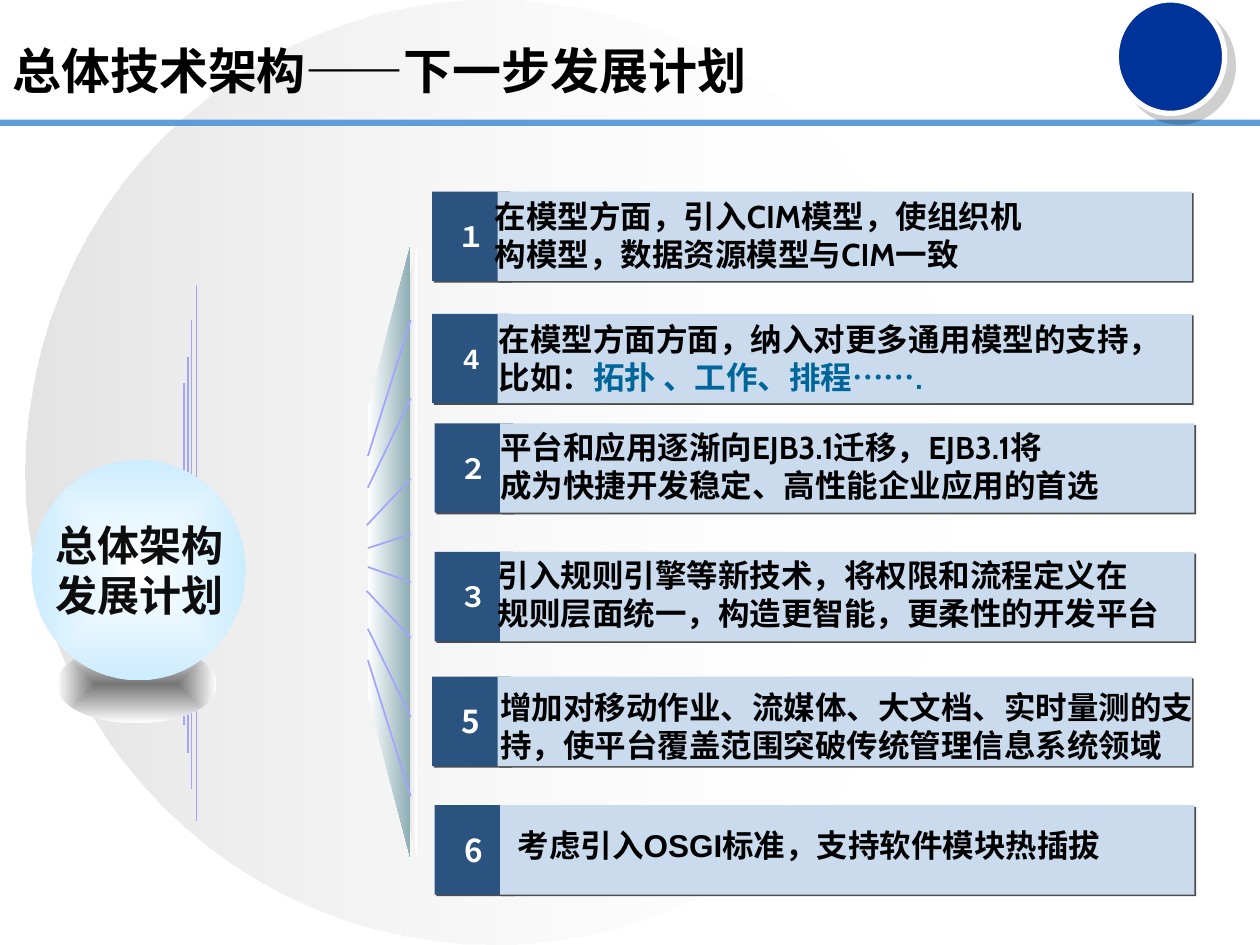
from dataclasses import dataclass

from lxml.etree import SubElement
from pptx import Presentation
from pptx.dml.color import RGBColor
from pptx.enum.shapes import MSO_CONNECTOR, MSO_SHAPE
from pptx.enum.text import MSO_ANCHOR, PP_ALIGN
from pptx.oxml.ns import qn
from pptx.util import Inches, Pt


@dataclass(frozen=True)
class Theme:
    white: str = "FFFFFF"
    black: str = "000000"
    ink: str = "0D0D0D"
    rule: str = "5E9CDA"
    badge: str = "003399"
    backdrop: str = "C0C0C0"
    number: str = "2A5380"
    bar: str = "CADBEE"
    shadow: str = "4D4D4D"
    accent: str = "006699"
    ray: str = "A4A4FF"
    edge: str = "E5E5E5"
    wedge: str = "8BACB3"
    ball: str = "CCECFF"
    ball_shade: str = "767676"
    title_size: int = 28
    ball_size: int = 24
    body_size: int = 18
    number_size: int = 16
    title_font: str = "Lato"
    body_font: str = "Cabin"
    plain_font: str = "Arial"
    cjk_font: str = "Noto Sans CJK KR"


T = Theme()
WIDTH, HEIGHT = Inches(10), Inches(7.5)
COLS, ROWS = 100, 75

# Number, number font, number size, left, top, text box, text font, paragraphs
ITEMS = [
    ("１", T.plain_font, T.number_size, 34.3, 15.2, (38.3, 16.1, 54.4, 5.1), T.body_font,
     ["在模型方面，引入CIM模型，使组织机", "构模型，数据资源模型与CIM一致"]),
    ("２", T.plain_font, T.number_size, 34.5, 33.6, (38.7, 34.4, 54.9, 5.1), T.body_font,
     ["平台和应用逐渐向EJB3.1迁移，EJB3.1将", "成为快捷开发稳定、高性能企业应用的首选"]),
    ("３", T.plain_font, T.number_size, 34.5, 43.8, (38.5, 44.6, 54.9, 5.1), T.body_font,
     ["引入规则引擎等新技术，将权限和流程定义在", "规则层面统一，构造更智能，更柔性的开发平台"]),
    ("5", T.cjk_font, T.body_size, 34.3, 53.7, (36.7, 54.1, 59.5, 7), T.cjk_font,
     ["增加对移动作业、流媒体、大文档、实时量测的支持，使平台覆盖范围突破传统管理信息系统领域"]),
    ("6", T.cjk_font, T.body_size, 34.5, 63.9, (40.1, 65.1, 49.4, 4), T.plain_font,
     ["考虑引入OSGI标准，支持软件模块热插拔"]),
    ("4", T.plain_font, T.number_size, 34.3, 24.9, (36.6, 24.9, 56.7, 7), T.body_font,
     ["在模型方面方面，纳入对更多通用模型的支持，比如："]),
]
WRAPPED = ("4", "5")
EXAMPLES = "拓扑 、工作、排程……."

RAYS = [
    (29.2, 36.2, 25.4), (29.2, 38.7, 31.6), (29.1, 41.7, 38), (29.2, 43.5, 42.4),
    (29.2, 45, 46.2), (29.1, 46.9, 50.6), (29.2, 49.9, 56.9), (29.2, 52.4, 63.2),
]
UPRIGHTS = [(15.6, 22.6, 65.2), (15.2, 25.4, 62.6), (14.9, 28.3, 59.8), (14.6, 30.4, 57.5)]


def col(n):
    return round(WIDTH * n / COLS)


def row(n):
    return round(HEIGHT * n / ROWS)


def area(box):
    x, y, w, h = box
    return col(x), row(y), col(w), row(h)


def rgb(value):
    return RGBColor.from_string(value)


def add_solid(s, kind, box, color):
    sp = s.shapes.add_shape(kind, *area(box))
    sp.shadow.inherit = False
    sp.fill.solid()
    sp.fill.fore_color.rgb = rgb(color)
    sp.line.fill.background()
    return sp


def set_alpha(color, percent):
    SubElement(color, qn("a:alpha"), val=str(percent * 1000))


def set_gradient(sp, start, end, alphas=None, centred=False):
    sp.fill.gradient()
    sp.fill.gradient_angle = 0
    for stop, color in zip(sp.fill.gradient_stops, (start, end)):
        stop.color.rgb = rgb(color)
    grad = sp._element.spPr.find(qn("a:gradFill"))
    for color, alpha in zip(grad.iter(qn("a:srgbClr")), alphas or ()):
        set_alpha(color, alpha)
    if centred:
        grad.remove(grad.find(qn("a:lin")))
        shade = SubElement(grad, qn("a:path"), {"path": "rect"})
        SubElement(shade, qn("a:fillToRect"), dict.fromkeys("ltrb", "50000"))


def set_shadow(sp, color, distance, alpha=100):
    effects = sp._element.spPr.find(qn("a:effectLst"))
    shadow = SubElement(effects, qn("a:outerShdw"), blurRad="0", dist=str(Pt(distance)),
                        dir="2700000", algn="ctr", rotWithShape="0")
    set_alpha(SubElement(shadow, qn("a:srgbClr"), val=color), alpha)


def format_run(r, font, size, color):
    r.font.name = font
    r.font.size = Pt(size)
    r.font.bold = True
    r.font.color.rgb = rgb(color)


def set_text(sp, lines, font, size, color, align=PP_ALIGN.LEFT, wrap=False):
    tf = sp.text_frame
    tf.text = "\n".join(lines)
    tf.word_wrap = wrap
    tf.vertical_anchor = MSO_ANCHOR.MIDDLE
    for p in tf.paragraphs:
        p.alignment = align
        for r in p.runs:
            format_run(r, font, size, color)
    return tf


def add_text(s, box, *args, **kwargs):
    return set_text(s.shapes.add_textbox(*area(box)), *args, **kwargs)


def add_line(s, x1, y1, x2, y2):
    cn = s.shapes.add_connector(MSO_CONNECTOR.STRAIGHT, col(x1), row(y1), col(x2), row(y2))
    cn.line.color.rgb = rgb(T.ray)
    cn.line.width = Pt(1)
    SubElement(cn._element.spPr, qn("a:effectLst"))


def add_panel(s, points, start, end):
    first, *rest = [(col(x), row(y)) for x, y in points]
    builder = s.shapes.build_freeform(*first)
    builder.add_line_segments(rest)
    sp = builder.convert_to_shape()
    sp.shadow.inherit = False
    sp.line.fill.background()
    set_gradient(sp, start, end)


def add_frame(s):
    disc = add_solid(s, MSO_SHAPE.OVAL, (2, 0, 74.4, 75), T.backdrop)
    set_gradient(disc, T.backdrop, T.white, alphas=(44, 0))
    add_solid(s, MSO_SHAPE.RECTANGLE, (0, 9.5, 100, 0.5), T.rule)
    badge = add_solid(s, MSO_SHAPE.OVAL, (88.6, 0, 8.6, 9), T.badge)
    badge.line.color.rgb = rgb(T.white)
    badge.line.width = Pt(3)
    set_shadow(badge, T.black, 7.1, 19)
    add_text(s, (0, 2.8, 85, 5.5), ["总体技术架构——下一步发展计划"],
             T.title_font, T.title_size, T.black, wrap=True)


def add_item(s, number, number_font, number_size, left, top, box, font, lines):
    tile = add_solid(s, MSO_SHAPE.RECTANGLE, (left, top, 6.2, 7.1), T.number)
    set_text(tile, [number], number_font, number_size, T.white, PP_ALIGN.CENTER)
    bar = add_solid(s, MSO_SHAPE.RECTANGLE, (left + 5.2, top, 55.1, 7.1), T.bar)
    for sp in (tile, bar):
        set_shadow(sp, T.shadow, 1.4)
    wrap = number in WRAPPED
    tf = add_text(s, box, lines, font, T.body_size, T.black, wrap=wrap)
    if wrap:
        tf.paragraphs[0]._p.get_or_add_pPr().set("marL", str(col(2)))
    return tf


def add_fan(s):
    add_panel(s, [(33.1, 68.2), (32.5, 65.4), (32.5, 22.2), (33.1, 19.4)], T.edge, T.white)
    add_panel(s, [(32.6, 68.2), (29.2, 55.3), (29.2, 32.3), (32.6, 19.4)], T.white, T.wedge)
    for x, start, end in RAYS:
        add_line(s, x, start, 32.6, end)
    for x, top, bottom in UPRIGHTS:
        add_line(s, x, top, x, bottom)


def add_ball(s):
    base = add_solid(s, MSO_SHAPE.OVAL, (4.5, 51.2, 12.7, 6.2), T.ball_shade)
    set_gradient(base, T.ball_shade, T.white, centred=True)
    ball = add_solid(s, MSO_SHAPE.OVAL, (2.5, 36.5, 17, 17.5), T.ball)
    set_gradient(ball, T.white, T.ball, centred=True)
    add_text(s, (3.4, 40.7, 15.3, 9), ["总体架构", "发展计划"],
             T.body_font, T.ball_size, T.ink, PP_ALIGN.CENTER)


def main():
    prs = Presentation()
    prs.slide_width, prs.slide_height = WIDTH, HEIGHT
    s = prs.slides.add_slide(prs.slide_layouts[6])
    add_frame(s)
    add_fan(s)
    add_ball(s)
    for item in ITEMS:
        tf = add_item(s, *item)
    r = tf.paragraphs[0].add_run()
    r.text = EXAMPLES
    format_run(r, T.body_font, T.body_size, T.accent)
    prs.save("out.pptx")


if __name__ == "__main__":
    main()
